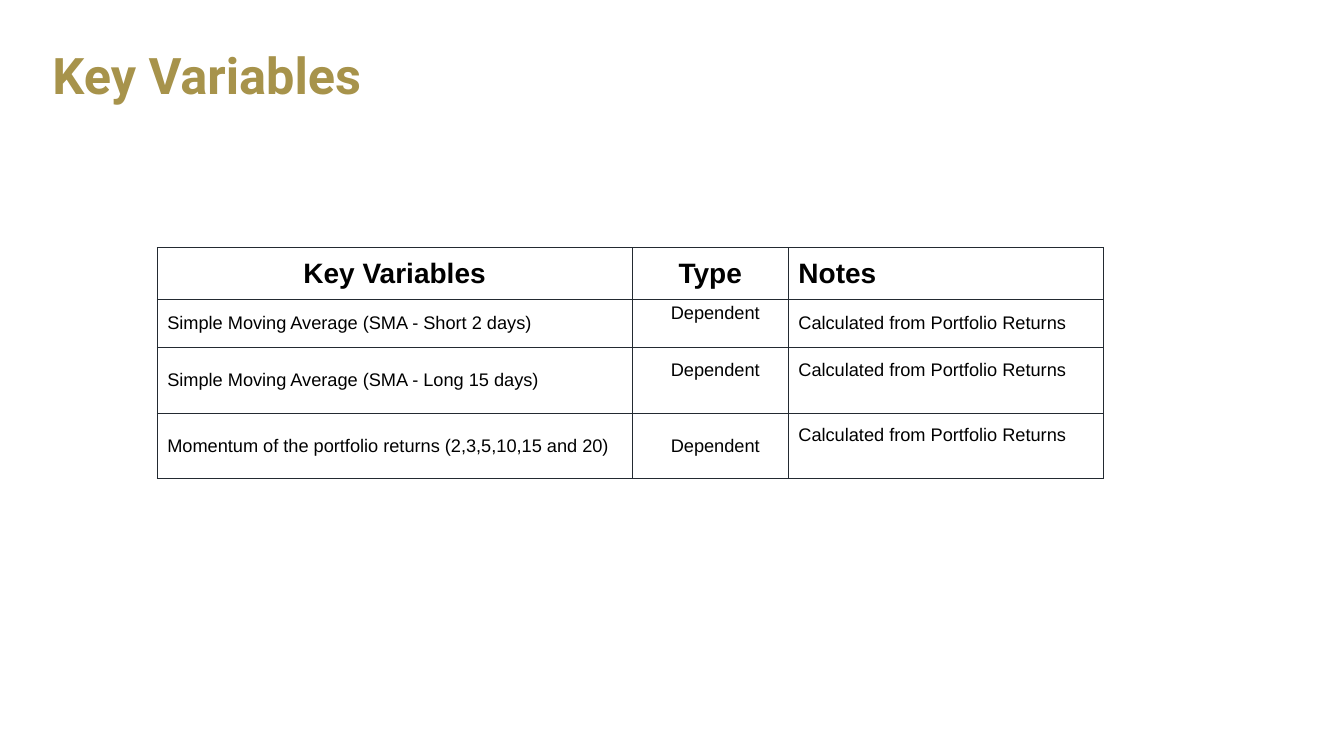
from dataclasses import dataclass

from lxml.etree import SubElement
from pptx import Presentation
from pptx.dml.color import RGBColor
from pptx.enum.text import MSO_ANCHOR, PP_ALIGN
from pptx.oxml.ns import qn
from pptx.util import Inches, Pt


@dataclass(frozen=True)
class Theme:
    paper: str = "FFFFFF"
    ink: str = "000000"
    gold: str = "A7934B"
    rule: str = "232A31"
    title_font: str = "Roboto"
    body_font: str = "Arial"
    title_size: float = 36
    header_size: float = 20
    body_size: float = 13
    rule_width: float = 0.75


def apply(target, formats):
    for name, value in formats.items():
        setattr(target, name, value)


class Deck:
    WIDTH, HEIGHT = Inches(13.33), Inches(7.5)

    def __init__(self, theme):
        self.theme = theme
        self.presentation = Presentation()
        apply(self.presentation, {"slide_width": self.WIDTH, "slide_height": self.HEIGHT})
        title_only = self.presentation.slide_layouts[5]
        self.slide = self.presentation.slides.add_slide(title_only)
        self.slide.background.fill.solid()
        self.slide.background.fill.fore_color.rgb = RGBColor.from_string(theme.paper)

    def across(self, share):
        return round(self.WIDTH * share / 100)

    def down(self, share):
        return round(self.HEIGHT * share / 100)

    def add_words(self, paragraph, words, font, size, color, bold, align):
        paragraph.alignment = align
        run = paragraph.add_run()
        run.text = words
        apply(run.font, {"name": font, "size": Pt(size), "bold": bold})
        run.font.color.rgb = RGBColor.from_string(color)

    def title(self, words, left, top, width, height):
        heading = self.slide.shapes.title
        apply(heading, {"left": self.across(left), "top": self.down(top),
                        "width": self.across(width), "height": self.down(height)})
        frame = heading.text_frame
        apply(frame, {"word_wrap": True, "vertical_anchor": MSO_ANCHOR.MIDDLE})
        frame.paragraphs[0].line_spacing = 0.9
        self.add_words(frame.paragraphs[0], words, self.theme.title_font,
                       self.theme.title_size, self.theme.gold, True, PP_ALIGN.LEFT)

    def border(self, cell):
        properties = cell._tc.get_or_add_tcPr()
        for side in ("lnL", "lnR", "lnT", "lnB"):
            edge = SubElement(properties, qn(f"a:{side}"), w=str(Pt(self.theme.rule_width)))
            SubElement(SubElement(edge, qn("a:solidFill")), qn("a:srgbClr"), val=self.theme.rule)

    def cell(self, cell, words, align, header, lift):
        theme = self.theme
        if header:
            insets = dict.fromkeys(("left", "right", "top", "bottom"), 0.1)
            anchor, size = MSO_ANCHOR.TOP, theme.header_size
        else:
            insets = {"left": 0.1, "right": 0, "top": 0, "bottom": lift}
            anchor, size = MSO_ANCHOR.MIDDLE, theme.body_size
        apply(cell, {f"margin_{side}": Inches(inset) for side, inset in insets.items()})
        cell.vertical_anchor = anchor
        self.border(cell)
        cell.fill.background()
        self.add_words(cell.text_frame.paragraphs[0], words, theme.body_font,
                       size, theme.ink, header, align)

    def table(self, rows, left, top, widths, heights, aligns, lifted, lift):
        columns = [self.across(share) for share in widths]
        depths = [self.down(share) for share in heights]
        grid = self.slide.shapes.add_table(
            len(rows), len(columns), self.across(left), self.down(top),
            sum(columns), sum(depths)).table
        apply(grid, {"first_row": False, "horz_banding": False})
        for column, width in zip(grid.columns, columns):
            column.width = width
        for row, depth in zip(grid.rows, depths):
            row.height = depth
        for r, entries in enumerate(rows):
            for c, (words, align) in enumerate(zip(entries, aligns[min(r, 1)])):
                self.cell(grid.cell(r, c), words, align, r == 0,
                          lift if (r, c) in lifted else 0)


def main():
    deck = Deck(Theme())

    # Heading
    deck.title("Key Variables", left=3.15, top=2.93, width=93.77, height=14.8)

    # Variables, each dependent and derived from returns
    variables = (
        "Simple Moving Average (SMA - Short 2 days)",
        "Simple Moving Average (SMA - Long 15 days)",
        "Momentum of the portfolio returns (2,3,5,10,15 and 20)",
    )
    rows = [("Key Variables", "Type", "Notes")]
    rows += [(variable, "Dependent", "Calculated from Portfolio Returns")
             for variable in variables]
    left, center = PP_ALIGN.LEFT, PP_ALIGN.CENTER
    deck.table(rows, left=11.7, top=32.8, widths=(35.33, 11.63, 23.48),
               heights=(5.87, 6.4, 8.67, 8.67),
               aligns=((center, center, left), (left, center, left)),
               lifted={(1, 1), (2, 1), (2, 2), (3, 2)}, lift=0.21)

    deck.presentation.save("out.pptx")


if __name__ == "__main__":
    main()
